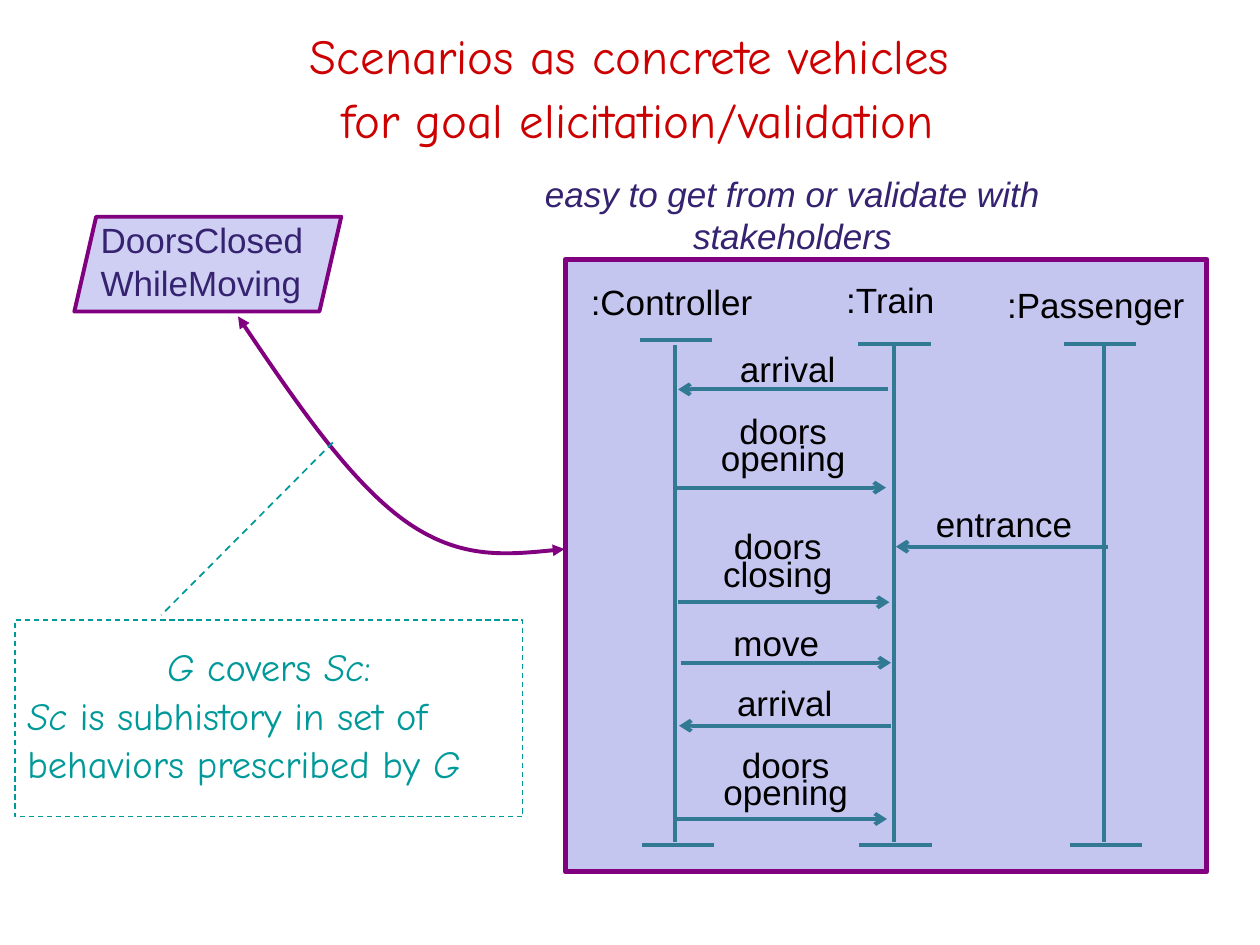
from lxml.etree import SubElement
from pptx import Presentation
from pptx.dml.color import RGBColor
from pptx.enum.dml import MSO_LINE
from pptx.enum.shapes import MSO_CONNECTOR, MSO_SHAPE
from pptx.enum.text import MSO_ANCHOR as Anchor, MSO_AUTO_SIZE as AutoSize, PP_ALIGN as Align
from pptx.oxml.ns import qn
from pptx.util import Cm, Pt

RED = RGBColor(0xCC, 0x00, 0x00)
GREEN = RGBColor(0x00, 0x99, 0x99)
PURPLE = RGBColor(0x80, 0x00, 0x80)
INDIGO = RGBColor(0x35, 0x22, 0x70)
STEEL = RGBColor(0x32, 0x7A, 0x94)
PANEL = RGBColor(0xC5, 0xC6, 0xEF)
GOAL = RGBColor(0xCE, 0xCF, 0xF2)
BLACK = RGBColor(0x00, 0x00, 0x00)

ROLES = [
    (":Controller", 13.54, 5.54, 3.76),
    (":Train", 17.95, 5.5, 2.31),
    (":Passenger", 22.09, 5.59, 4.09),
]
LIFELINES = [13.61, 18.03, 22.25]
CAPS = [
    (13.63, 6.86), (18.03, 6.93), (22.17, 6.93),
    (13.67, 17.04), (18.05, 17.04), (22.3, 17.04),
]
CAP_WIDTH = 1.46
MESSAGES = [
    (["arrival"], 15.88, 6.88, 2.44, 17.91, 13.67, 7.85),
    (["doors", "opening"], 15.79, 8.13, 3.02, 13.59, 17.86, 9.83),
    (["entrance"], 20.24, 10.01, 3.25, 22.33, 18.06, 11.02),
    (["doors", "closing"], 15.68, 10.46, 2.72, 13.67, 17.93, 12.14),
    (["move"], 15.65, 12.4, 2.24, 13.72, 17.96, 13.36),
    (["arrival"], 15.82, 13.61, 2.44, 17.96, 13.69, 14.63),
    (["doors", "opening"], 15.84, 14.86, 3.02, 13.64, 17.88, 16.51),
]
COVERS_CURVE = [
    (4.8, 6.38), (5.92, 8.05), (7.06, 9.7), (8.15, 10.49),
    (9.25, 11.28), (10.31, 11.18), (11.38, 11.07),
]
DEFINITION = [
    (Align.CENTER, 0.8, [("G ", True), ("covers ", False), ("Sc", True), (":", False)]),
    (Align.LEFT, 0.7, [("Sc", True), (" is subhistory in set of", False)]),
    (Align.LEFT, 0.7, [("behaviors prescribed by", False), (" G", True)]),
]


def place(shape, left, top, width, height):
    shape.left, shape.top = Cm(left), Cm(top)
    shape.width, shape.height = Cm(width), Cm(height)


def add_run(paragraph, text, color, size=20, name="Arial", italic=False):
    run = paragraph.add_run()
    run.text = text
    run.font.name = name
    run.font.size = Pt(size)
    run.font.color.rgb = color
    run.font.italic = italic


def add_arrowhead(shape, end, kind):
    line = shape._element.spPr.find(qn("a:ln"))
    SubElement(line, qn(f"a:{end}"), type=kind)


def add_line(slide, start, end, color=STEEL, width=2.25, dash=None, arrow=False):
    points = [Cm(value) for value in (*start, *end)]
    connector = slide.shapes.add_connector(MSO_CONNECTOR.STRAIGHT, *points)
    connector.line.color.rgb = color
    connector.line.width = Pt(width)
    if dash:
        connector.line.dash_style = dash
    if arrow:
        add_arrowhead(connector, "tailEnd", "arrow")
    SubElement(connector._element.spPr, qn("a:effectLst"))


def add_box(slide, kind, bounds, fill, width):
    shape = slide.shapes.add_shape(kind, *[Cm(value) for value in bounds])
    shape.shadow.inherit = False
    shape.fill.solid()
    shape.fill.fore_color.rgb = fill
    shape.line.color.rgb = PURPLE
    shape.line.width = Pt(width)
    return shape


def add_text(slide, bounds, lines, color=INDIGO, wrap=True, italic=False):
    box = slide.shapes.add_textbox(*[Cm(value) for value in bounds])
    frame = box.text_frame
    frame.word_wrap = wrap
    for index, text in enumerate(lines):
        paragraph = frame.add_paragraph() if index else frame.paragraphs[0]
        add_run(paragraph, text, color, italic=italic)
    return frame


def add_label(slide, lines, center, top, width):
    height = 1.09 if len(lines) == 1 else 1.6
    bounds = (center - width / 2, top, width, height)
    frame = add_text(slide, bounds, lines, BLACK, wrap=False)
    frame.auto_size = AutoSize.SHAPE_TO_FIT_TEXT
    frame.vertical_anchor = Anchor.MIDDLE
    frame.margin_left = frame.margin_right = Cm(0.1)
    for index, paragraph in enumerate(frame.paragraphs):
        paragraph.alignment = Align.CENTER
        if index:
            paragraph.line_spacing = 0.6
        else:
            paragraph.space_before = Pt(12)


def add_curve(slide, points):
    start, *rest = [(Cm(x), Cm(y)) for x, y in points]
    builder = slide.shapes.build_freeform(*start)
    builder.add_line_segments(rest, close=False)
    shape = builder.convert_to_shape()
    shape.shadow.inherit = False
    shape.fill.background()
    shape.line.color.rgb = PURPLE
    shape.line.width = Pt(2.25)
    outline = next(shape._element.iter(qn("a:path")))
    segments = outline.findall(qn("a:lnTo"))
    for first in range(0, len(segments), 3):
        bezier = SubElement(outline, qn("a:cubicBezTo"))
        for segment in segments[first:first + 3]:
            bezier.append(segment[0])
            outline.remove(segment)
    for end in ("headEnd", "tailEnd"):
        add_arrowhead(shape, end, "triangle")


def fill_title(title):
    place(title, 0.84, 0.64, 24.03, 2.11)
    frame = title.text_frame
    frame.auto_size = AutoSize.NONE
    frame.vertical_anchor = Anchor.MIDDLE
    paragraph = frame.paragraphs[0]
    paragraph.alignment = Align.CENTER
    paragraph.line_spacing = 1.1
    add_run(paragraph, "Scenarios as concrete vehicles ", RED, 28, "Comic Neue")
    paragraph.add_line_break()
    add_run(paragraph, "for goal elicitation/validation", RED, 28, "Comic Neue")


def fill_definition(body):
    place(body, 0.3, 12.5, 10.24, 3.96)
    body.line.color.rgb = GREEN
    body.line.width = Pt(0.75)
    body.line.dash_style = MSO_LINE.DASH
    frame = body.text_frame
    frame.auto_size = AutoSize.NONE
    frame.vertical_anchor = Anchor.MIDDLE
    for index, (alignment, spacing, runs) in enumerate(DEFINITION):
        paragraph = frame.add_paragraph() if index else frame.paragraphs[0]
        paragraph.alignment = alignment
        paragraph.line_spacing = spacing
        paragraph.space_before = Pt(9)
        properties = paragraph._p.get_or_add_pPr()
        properties.set("marL", str(Cm(0.97)))
        properties.set("indent", str(-Cm(0.97)))
        SubElement(properties, qn("a:buNone"))
        for text, italic in runs:
            add_run(paragraph, text, GREEN, 22, "Comic Neue", italic)


def add_scenario(slide):
    add_box(slide, MSO_SHAPE.RECTANGLE, (11.4, 5.23, 12.93, 12.34), PANEL, 3)
    for name, center, top, width in ROLES:
        add_label(slide, [name], center, top, width)
    for x in LIFELINES:
        add_line(slide, (x, 6.96), (x, 16.97))
    for center, y in CAPS:
        add_line(slide, (center - CAP_WIDTH / 2, y), (center + CAP_WIDTH / 2, y))
    for lines, center, top, width, sender, receiver, y in MESSAGES:
        add_line(slide, (sender, y), (receiver, y), arrow=True)
        add_label(slide, lines, center, top, width)


def main():
    presentation = Presentation()
    presentation.slide_width, presentation.slide_height = Cm(25.4), Cm(19.05)
    slide = presentation.slides.add_slide(presentation.slide_layouts[1])
    add_scenario(slide)
    fill_title(slide.shapes.title)
    fill_definition(slide.placeholders[1])
    add_curve(slide, COVERS_CURVE)
    goal = add_box(slide, MSO_SHAPE.PARALLELOGRAM, (1.5, 4.37, 5.38, 1.91), GOAL, 2.25)
    goal.adjustments[0] = 0.23
    add_text(slide, (1.78, 4.29, 5.08, 1.91), ["DoorsClosed", "WhileMoving"])
    add_line(slide, (6.71, 8.92), (3.25, 12.4), GREEN, 1, MSO_LINE.DASH)
    remark = add_text(slide, (10.64, 3.35, 10.67, 1.96),
                      ["easy to get from or validate with stakeholders"], italic=True)
    remark.vertical_anchor = Anchor.MIDDLE
    remark.paragraphs[0].alignment = Align.CENTER
    remark.paragraphs[0].space_before = Pt(12)
    presentation.save("out.pptx")


if __name__ == "__main__":
    main()
